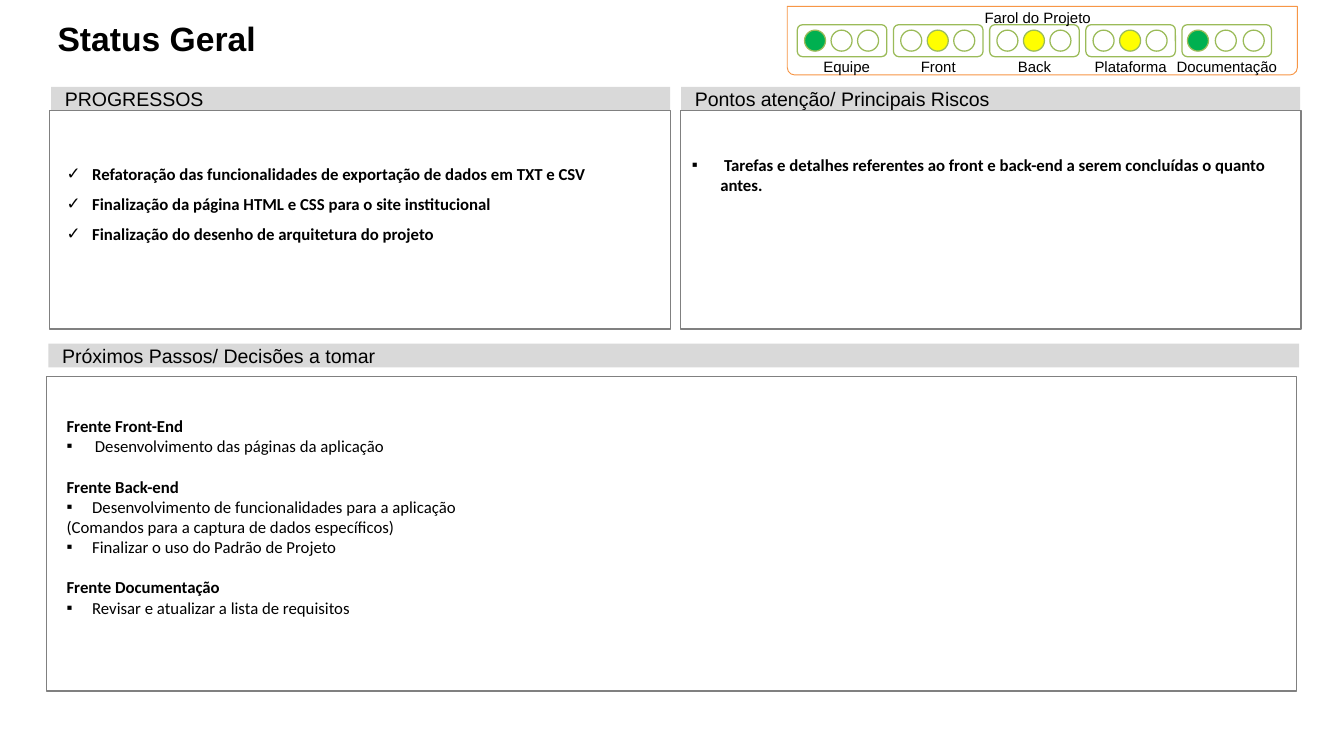
"""Build the project status slide with its traffic lights and three panels."""
from dataclasses import dataclass

import pptx
import pptx.dml.color
import pptx.enum.shapes
import pptx.enum.text
import pptx.oxml
import pptx.oxml.ns
import pptx.shapes.autoshape
import pptx.slide
import pptx.text.text
import pptx.util
from lxml import etree

SHAPE = pptx.enum.shapes.MSO_SHAPE
ANCHOR = pptx.enum.text.MSO_ANCHOR
ALIGN = pptx.enum.text.PP_ALIGN
FIT = pptx.enum.text.MSO_AUTO_SIZE

SLIDE_WIDTH = pptx.util.Inches(14.7)
SLIDE_HEIGHT = pptx.util.Inches(8.27)
COLUMNS = 147
ROWS = 82.7
HOUSING_WIDTH = 9.8
LONG_LABEL_WIDTH = 13.4


@dataclass(frozen=True)
class Theme:
    heading_font: str = "Arial"
    body_font: str = "Calibri"
    title_size: float = 26.5
    header_size: float = 15.4
    body_size: float = 13.2
    label_size: float = 11.8
    ink: str = "000000"
    paper: str = "FFFFFF"
    band: str = "D9D9D9"
    border: str = "808080"
    beacon: str = "F79646"
    housing: str = "9BBB59"
    go: str = "00B050"
    caution: str = "FFFF00"


THEME = Theme()


@dataclass(frozen=True)
class Area:
    left: float
    top: float
    width: float
    height: float


@dataclass(frozen=True)
class Light:
    front: str
    lit: int
    colour: str
    label_shift: float = 0
    label_width: float = HOUSING_WIDTH
    first_lamp: float = 0.8
    lamp_step: float = 2.9


@dataclass(frozen=True)
class Line:
    words: str
    bold: bool = True
    bullet: str = ""
    indent: float = 2.8
    spacing: float = 1
    before: float = 0


@dataclass(frozen=True)
class Panel:
    header: str
    band: Area
    frame: Area
    body: Area
    lines: tuple[Line, ...]
    wraps: bool = True


LIGHTS = (
    Light("Equipe", 0, THEME.go, label_shift=0.5),
    Light("Front", 1, THEME.caution),
    Light("Back", 1, THEME.caution),
    Light("Plataforma", 1, THEME.caution),
    Light("Documentação", 0, THEME.go, label_width=LONG_LABEL_WIDTH,
          first_lamp=0.6, lamp_step=3.05),
)

PANELS = (
    Panel("PROGRESSOS", Area(5.6, 9.5, 67.7, 2.6), Area(5.4, 12.1, 67.9, 23.9),
          Area(6.3, 16.3, 67, 15.4), tuple(
              Line(words, bullet="✓", spacing=1.5) for words in (
                  "Refatoração das funcionalidades de exportação de dados em TXT e CSV",
                  "Finalização da página HTML e CSS para o site institucional",
                  "Finalização do desenho de arquitetura do projeto"))),
    Panel("Pontos atenção/ Principais Riscos", Area(74.5, 9.5, 67.7, 2.6),
          Area(74.4, 12.1, 67.9, 23.9), Area(74.7, 16.4, 67, 7.7), (
              Line(" Tarefas e detalhes referentes ao front e back-end a serem "
                   "concluídas o quanto antes.", bullet="▪", indent=3.1),)),
    Panel("Próximos Passos/ Decisões a tomar", Area(5.3, 37.6, 136.8, 2.6),
          Area(5.1, 41.2, 136.7, 34.4), Area(6.3, 45, 45, 26.8), (
              Line("Frente Front-End"),
              Line("Desenvolvimento das páginas da aplicação", False, "▪", 3.1),
              Line("Frente Back-end", before=16),
              Line("Desenvolvimento de funcionalidades para a aplicação", False, "▪"),
              Line("(Comandos para a captura de dados específicos)", False),
              Line("Finalizar o uso do Padrão de Projeto", False, "▪"),
              Line("Frente Documentação", before=16),
              Line("Revisar e atualizar a lista de requisitos", False, "▪")), wraps=False),
)


def cols(count: float) -> pptx.util.Emu:
    return pptx.util.Emu(round(SLIDE_WIDTH * count / COLUMNS))


def rows(count: float) -> pptx.util.Emu:
    return pptx.util.Emu(round(SLIDE_HEIGHT * count / ROWS))


def place(area: Area) -> tuple[pptx.util.Emu, ...]:
    return cols(area.left), rows(area.top), cols(area.width), rows(area.height)


def rgb(colour: str) -> pptx.dml.color.RGBColor:
    return pptx.dml.color.RGBColor.from_string(colour)


def draw_shape(slide: pptx.slide.Slide, kind: SHAPE, area: Area, fill: str = "",
               line: str = "", weight: float = 1) -> pptx.shapes.autoshape.Shape:
    outline = slide.shapes.add_shape(kind, *place(area))
    outline.shadow.inherit = False
    if fill:
        outline.fill.solid()
        outline.fill.fore_color.rgb = rgb(fill)
    else:
        outline.fill.background()
    if line:
        outline.line.color.rgb = rgb(line)
        outline.line.width = pptx.util.Pt(weight)
    else:
        outline.line.fill.background()
    return outline


def set_margins(frame: pptx.text.text.TextFrame, side: float, top: float, bottom: float) -> None:
    frame.margin_left = frame.margin_right = cols(side)
    frame.margin_top, frame.margin_bottom = rows(top), rows(bottom)


def add_words(paragraph: pptx.text.text._Paragraph, words: str, font: str,
              size: float, bold: bool = False) -> None:
    run = paragraph.add_run()
    run.text = words
    run.font.name = font
    run.font.size = pptx.util.Pt(size)
    run.font.bold = bold
    run.font.color.rgb = rgb(THEME.ink)


def add_bullet(paragraph: pptx.text.text._Paragraph, line: Line) -> None:
    properties = paragraph._p.get_or_add_pPr()
    properties.set("marL", str(cols(line.indent)))
    properties.set("indent", str(-cols(line.indent)))
    qn = pptx.oxml.ns.qn
    etree.SubElement(properties, qn("a:buFont")).set("typeface", THEME.heading_font)
    etree.SubElement(properties, qn("a:buChar")).set("char", line.bullet)


def draw_title(slide: pptx.slide.Slide) -> None:
    frame = slide.shapes.add_textbox(*place(Area(5.1, 2, 132.3, 8.8))).text_frame
    frame.word_wrap = True
    set_margins(frame, 1.2, 0, 0)
    add_words(frame.paragraphs[0], "Status Geral", THEME.heading_font, THEME.title_size, True)


def draw_label(slide: pptx.slide.Slide, words: str, centre: float, top: float,
               width: float) -> None:
    area = Area(centre - width / 2, top, width, 2)
    frame = slide.shapes.add_textbox(*place(area)).text_frame
    frame.word_wrap = False
    frame.vertical_anchor = ANCHOR.BOTTOM
    set_margins(frame, 0.6, 0.6, 0)
    frame.paragraphs[0].alignment = ALIGN.CENTER
    add_words(frame.paragraphs[0], words, THEME.heading_font, THEME.label_size)


def draw_lights(slide: pptx.slide.Slide) -> None:
    beacon = draw_shape(slide, SHAPE.ROUND_2_SAME_RECTANGLE, Area(86.1, 0.7, 55.8, 7.5),
                        line=THEME.beacon, weight=0.75)
    beacon.rotation = 180
    beacon.adjustments[0], beacon.adjustments[1] = 0.11, 0
    for place_in_row, light in enumerate(LIGHTS):
        left = 87.2 + 10.52 * place_in_row
        draw_shape(slide, SHAPE.ROUNDED_RECTANGLE, Area(left, 2.7, HOUSING_WIDTH, 3.5),
                   THEME.paper, THEME.housing)
        for lamp in range(3):
            lamp_left = left + light.first_lamp + light.lamp_step * lamp
            draw_shape(slide, SHAPE.OVAL, Area(lamp_left, 3.3, 2.3, 2.3),
                       light.colour if lamp == light.lit else "", THEME.housing)
        draw_label(slide, light.front, left + HOUSING_WIDTH / 2 + light.label_shift,
                   6.3, light.label_width)
    draw_label(slide, "Farol do Projeto", 113.5, 0.9, LONG_LABEL_WIDTH)


def draw_panel(slide: pptx.slide.Slide, panel: Panel) -> None:
    header = draw_shape(slide, SHAPE.RECTANGLE, panel.band, THEME.band).text_frame
    header.vertical_anchor = ANCHOR.MIDDLE
    set_margins(header, 1.5, 0.7, 0.7)
    header.paragraphs[0].alignment = ALIGN.LEFT
    add_words(header.paragraphs[0], panel.header, THEME.heading_font, THEME.header_size)
    draw_shape(slide, SHAPE.RECTANGLE, panel.frame, line=THEME.border)
    body = slide.shapes.add_textbox(*place(panel.body)).text_frame
    body.word_wrap = panel.wraps
    body.auto_size = FIT.SHAPE_TO_FIT_TEXT
    for number, line in enumerate(panel.lines):
        paragraph = body.add_paragraph() if number else body.paragraphs[0]
        paragraph.line_spacing = line.spacing
        paragraph.space_before = pptx.util.Pt(line.before)
        if line.bullet:
            add_bullet(paragraph, line)
        add_words(paragraph, line.words, THEME.body_font, THEME.body_size, line.bold)


def main() -> None:
    deck = pptx.Presentation()
    deck.slide_width, deck.slide_height = SLIDE_WIDTH, SLIDE_HEIGHT
    slide = deck.slides.add_slide(deck.slide_layouts[6])
    draw_title(slide)
    draw_lights(slide)
    for panel in PANELS:
        draw_panel(slide, panel)
    deck.save("out.pptx")


if __name__ == "__main__":
    main()
